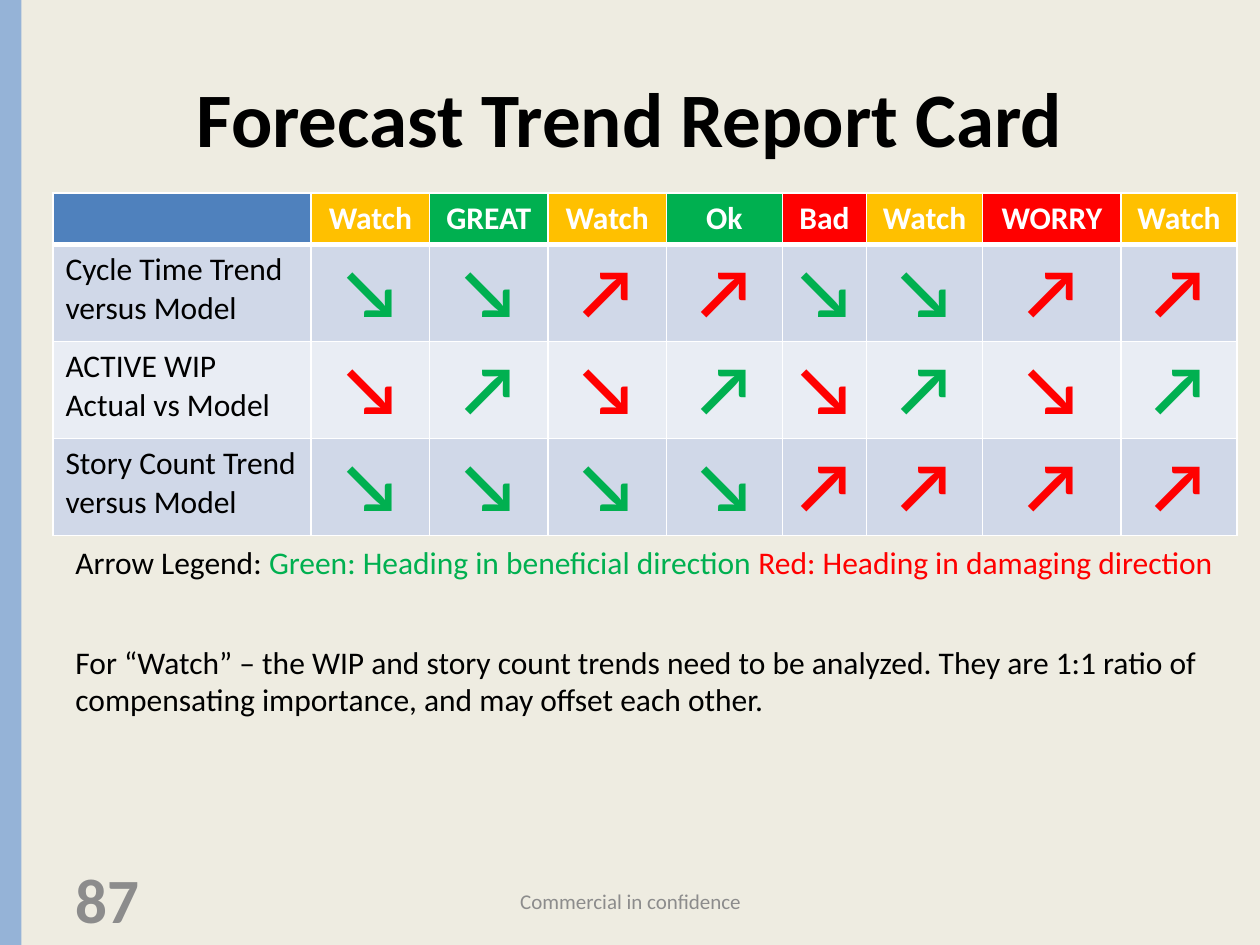
from lxml.etree import SubElement
from pptx import Presentation
from pptx.dml.color import RGBColor
from pptx.enum.shapes import MSO_SHAPE
from pptx.enum.text import MSO_ANCHOR, PP_ALIGN
from pptx.oxml.ns import qn
from pptx.util import Inches, Pt

CREAM = RGBColor(0xEE, 0xEC, 0xE1)
PALE_BLUE = RGBColor(0x95, 0xB3, 0xD7)
BLUE = RGBColor(0x4F, 0x81, 0xBD)
AMBER = RGBColor(0xFF, 0xC0, 0x00)
GREEN = RGBColor(0x00, 0xB0, 0x50)
RED = RGBColor(0xFF, 0x00, 0x00)
BANDS = (RGBColor(0xD0, 0xD8, 0xE8), RGBColor(0xE9, 0xED, 0xF4))
WHITE = RGBColor(0xFF, 0xFF, 0xFF)
BLACK = RGBColor(0x00, 0x00, 0x00)
GRAY = RGBColor(0x8C, 0x8C, 0x8C)
FONT = "Calibri"

TITLE = "Forecast Trend Report Card"
VERDICTS = ["Watch", "GREAT", "Watch", "Ok", "Bad", "Watch", "WORRY", "Watch"]
VERDICT_FILLS = {"Watch": AMBER, "GREAT": GREEN, "Ok": GREEN, "Bad": RED, "WORRY": RED}
TRENDS = [
    ("Cycle Time Trend versus Model", "↘", "↘↘↗↗↘↘↗↗"),
    ("ACTIVE WIP \vActual vs Model", "↗", "↘↗↘↗↘↗↘↗"),
    ("Story Count Trend versus Model", "↘", "↘↘↘↘↗↗↗↗"),
]
LEGEND = [
    ("Arrow Legend: ", BLACK),
    ("Green: Heading in beneficial direction ", GREEN),
    ("Red: Heading in damaging direction", RED),
]
WATCH_NOTE = ("For “Watch” – the WIP and story count trends need to be analyzed. "
              "They are 1:1 ratio of compensating importance, and may offset each other.")
FOOTER = "Commercial in confidence"
PAGE_NUMBER = "87"

COLUMN_WIDTHS = [2.05, 0.94, 0.94, 0.94, 0.92, 0.67, 0.92, 1.1, 0.92]
ROW_HEIGHTS = [0.41] + [0.77] * len(TRENDS)


def style_run(run, size, color, bold=False):
    run.font.name = FONT
    run.font.size = Pt(size)
    run.font.bold = bold
    run.font.color.rgb = color


def add_text(slide, box, pieces, size, bold=False, align=PP_ALIGN.LEFT,
             anchor=MSO_ANCHOR.TOP, wrap=True):
    frame = slide.shapes.add_textbox(*map(Inches, box)).text_frame
    frame.word_wrap = wrap
    frame.vertical_anchor = anchor
    paragraph = frame.paragraphs[0]
    paragraph.alignment = align
    for text, color in pieces:
        run = paragraph.add_run()
        run.text = text
        style_run(run, size, color, bold)


def add_borders(cell, bottom_width):
    properties = cell._tc.get_or_add_tcPr()
    widths = {"a:lnL": 1, "a:lnR": 1, "a:lnT": 1, "a:lnB": bottom_width}
    for position, (tag, width) in enumerate(widths.items()):
        line = SubElement(properties, qn(tag), w=str(Pt(width)))
        fill = SubElement(line, qn("a:solidFill"))
        SubElement(fill, qn("a:srgbClr"), val=str(WHITE))
        properties.insert(position, line)


def fill_cell(cell, text, fill, size, color, bold=True, align=PP_ALIGN.CENTER, bottom=1):
    cell.fill.solid()
    cell.fill.fore_color.rgb = fill
    add_borders(cell, bottom)
    cell.text_frame.text = text
    paragraph = cell.text_frame.paragraphs[0]
    paragraph.alignment = align
    for run in paragraph.runs:
        style_run(run, size, color, bold)


def add_report_card(slide):
    card = slide.shapes.add_table(
        len(ROW_HEIGHTS), len(COLUMN_WIDTHS), Inches(0.42), Inches(1.53),
        Inches(sum(COLUMN_WIDTHS)), Inches(sum(ROW_HEIGHTS))).table
    for column, width in zip(card.columns, COLUMN_WIDTHS):
        column.width = Inches(width)
    for row, height in zip(card.rows, ROW_HEIGHTS):
        row.height = Inches(height)

    for column, verdict in enumerate([""] + VERDICTS):
        fill_cell(card.cell(0, column), verdict, VERDICT_FILLS.get(verdict, BLUE),
                  18, WHITE, bottom=3)
    for row, (label, beneficial, arrows) in enumerate(TRENDS, 1):
        band = BANDS[(row - 1) % 2]
        fill_cell(card.cell(row, 0), label, band, 18, BLACK, False, PP_ALIGN.LEFT)
        for column, arrow in enumerate(arrows, 1):
            color = GREEN if arrow == beneficial else RED
            fill_cell(card.cell(row, column), arrow, band, 40, color)


def main():
    deck = Presentation()
    deck.slide_width, deck.slide_height = Inches(10), Inches(7.5)
    slide = deck.slides.add_slide(deck.slide_layouts[6])
    slide.background.fill.solid()
    slide.background.fill.fore_color.rgb = CREAM

    side_bar = slide.shapes.add_shape(MSO_SHAPE.RECTANGLE, 0, 0, Inches(0.17), Inches(7.5))
    side_bar.shadow.inherit = False
    side_bar.fill.solid()
    side_bar.fill.fore_color.rgb = PALE_BLUE
    side_bar.line.fill.background()

    add_text(slide, (0.5, 0.3, 9, 1.25), [(TITLE, BLACK)], 44, True,
             PP_ALIGN.CENTER, MSO_ANCHOR.MIDDLE)
    add_text(slide, (3.42, 6.95, 3.17, 0.4), [(FOOTER, GRAY)], 12, False,
             PP_ALIGN.CENTER, MSO_ANCHOR.MIDDLE)
    add_text(slide, (0.5, 6.93, 2.33, 0.4), [(PAGE_NUMBER, GRAY)], 36, True,
             anchor=MSO_ANCHOR.MIDDLE)
    add_report_card(slide)
    add_text(slide, (0.5, 4.26, 9.29, 0.4), LEGEND, 18, wrap=False)
    add_text(slide, (0.5, 5.05, 9.29, 0.71), [(WATCH_NOTE, BLACK)], 18)
    deck.save("out.pptx")


if __name__ == "__main__":
    main()
